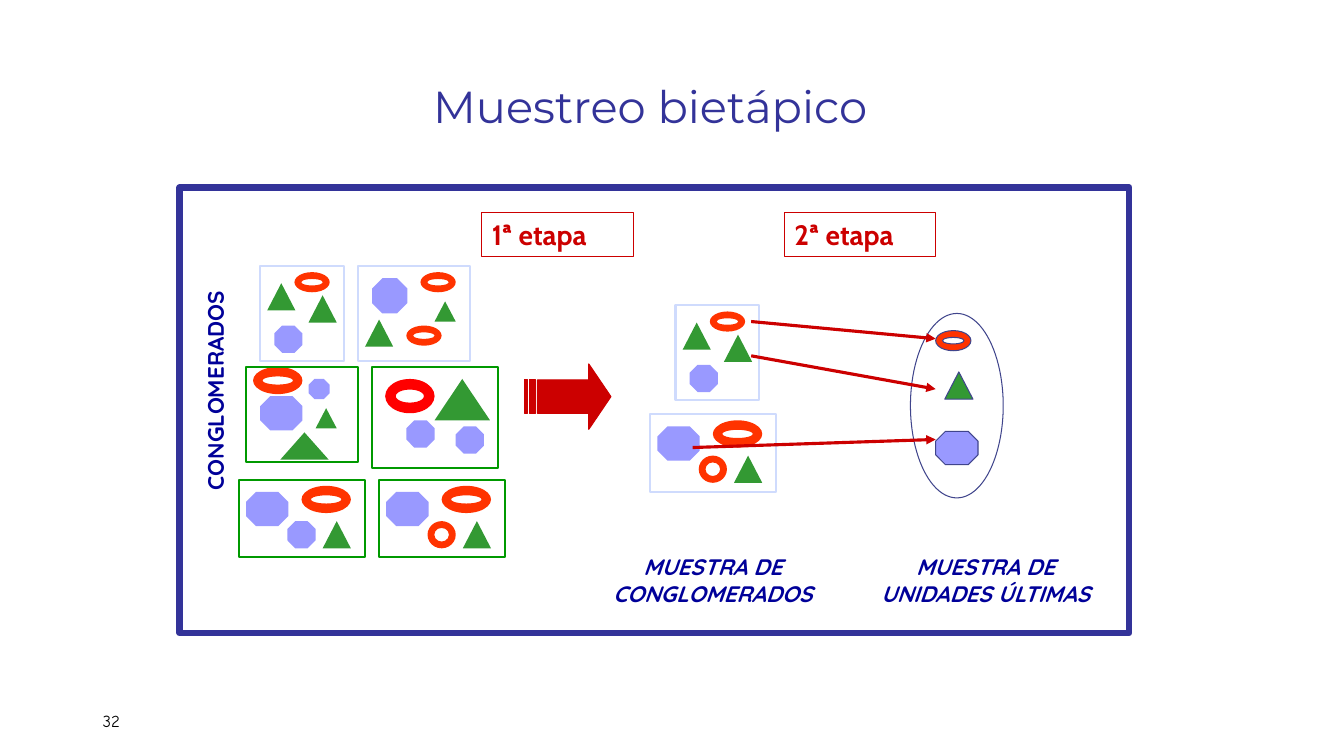
import pptx
import pptx.dml.color
import pptx.enum.shapes
import pptx.enum.text
import pptx.oxml
import pptx.oxml.ns
import pptx.util

SCALE = 9144  # EMU per px, 100 px to the inch
COLORS = {
    "frame": "333399", "label": "000099", "stage": "CC0000", "text": "000000",
    "triangle": "339933", "octagon": "9999FF", "ring": "FF3300", "red_ring": "FF0000",
    "pale_box": "CFDBFD", "green_box": "009900", "unit_line": "40458C",
}
SHAPE = pptx.enum.shapes.MSO_SHAPE
ALIGN = pptx.enum.text.PP_ALIGN
ANCHOR = pptx.enum.text.MSO_ANCHOR
UNIT_PRESETS = {"triangle": SHAPE.ISOSCELES_TRIANGLE, "octagon": SHAPE.OCTAGON,
                "ring": SHAPE.DONUT, "red_ring": SHAPE.DONUT}

# Units inside a cluster: kind, then left, top, width, height relative to its box
SMALL_MIX = [("triangle", 7, 17, 28, 27), ("triangle", 48, 29, 28, 27),
             ("octagon", 14, 59, 28, 27), ("ring", 34, 6, 35, 20)]
TALL_MIX = [("triangle", 7, 53, 28, 27), ("triangle", 76, 35, 21, 20),
            ("octagon", 14, 12, 35, 35), ("ring", 62, 6, 35, 20), ("ring", 48, 59, 35, 20)]
DENSE_MIX = [("triangle", 34, 65, 48, 27), ("triangle", 69, 41, 21, 20),
             ("octagon", 14, 29, 42, 34), ("octagon", 62, 12, 21, 20), ("ring", 7, 0, 49, 27)]
LARGE_MIX = [("triangle", 62, 12, 55, 41), ("octagon", 83, 59, 28, 27),
             ("octagon", 34, 53, 28, 27), ("red_ring", 13, 12, 49, 34)]
WIDE_BASE = [("triangle", 83, 41, 28, 27), ("octagon", 7, 12, 42, 34), ("ring", 62, 6, 49, 27)]
OCTAGON_MIX = WIDE_BASE + [("octagon", 48, 41, 28, 27)]
RING_MIX = WIDE_BASE + [("ring", 48, 41, 28, 27)]

POPULATION = [
    ((258, 264, 83, 94), "pale_box", SMALL_MIX),
    ((355, 264, 111, 94), "pale_box", TALL_MIX),
    ((244, 364, 111, 94), "green_box", DENSE_MIX),
    ((369, 364, 125, 100), "green_box", LARGE_MIX),
    ((237, 476, 125, 77), "green_box", OCTAGON_MIX),
    ((376, 476, 125, 77), "green_box", RING_MIX),
]
SAMPLE = [
    ((670, 303, 83, 94), "pale_box", SMALL_MIX),
    ((645, 411, 125, 77), "pale_box", RING_MIX),
]
SAMPLED_UNITS = [("triangle", 34, 58, 28, 27), ("octagon", 25, 117, 42, 33),
                 ("ring", 25, 17, 35, 20)]


def px(*lengths):
    return [pptx.util.Emu(round(length * SCALE)) for length in lengths]


def color(name):
    return pptx.dml.color.RGBColor.from_string(COLORS[name])


def style(shape, fill=None, line=None, width=0.75):
    shape.shadow.inherit = False
    if fill:
        shape.fill.solid()
        shape.fill.fore_color.rgb = color(fill)
    else:
        shape.fill.background()
    if line:
        shape.line.color.rgb = color(line)
        shape.line.width = pptx.util.Pt(width)
    else:
        shape.line.fill.background()


def add_preset(slide, kind, box, fill=None, line=None, width=0.75):
    shape = slide.shapes.add_shape(kind, *px(*box))
    style(shape, fill, line, width)
    return shape


def add_units(slide, box, units, line=None):
    for kind, left, top, width, height in units:
        place = (box[0] + left, box[1] + top, width, height)
        shape = add_preset(slide, UNIT_PRESETS[kind], place, kind, line)
        if kind.endswith("ring"):
            # Band as thick as the mean of a quarter width and a quarter height
            shape.adjustments[0] = round((width + height) / 8 / min(width, height), 2)


def write(shape, text, font, size, name, align=ALIGN.CENTER, anchor=ANCHOR.TOP,
          bold=False, italic=False):
    frame = shape.text_frame
    frame.text = text
    frame.word_wrap = True
    frame.vertical_anchor = anchor
    paragraph = frame.paragraphs[0]
    paragraph.alignment = align
    run = paragraph.runs[0]
    run.font.name = font
    run.font.size = pptx.util.Pt(size)
    run.font.color.rgb = color(name)
    run.font.bold = bold
    run.font.italic = italic


def add_text(slide, box, *arguments, **options):
    shape = slide.shapes.add_textbox(*px(*box))
    write(shape, *arguments, **options)
    return shape


def add_clusters(slide, clusters):
    for box, line, units in clusters:
        add_units(slide, box, units)
        add_preset(slide, SHAPE.RECTANGLE, box, line=line, width=1.5)


def add_stage(slide, box, text):
    shape = add_preset(slide, SHAPE.RECTANGLE, box, line="stage")
    write(shape, text, "Cabin", 20, "stage", align=ALIGN.LEFT, bold=True)


def add_striped_arrow(slide, box):
    left, top, width, height = box
    right, bottom, neck = left + width, top + height, left + 64
    upper, lower = top + 16, bottom - 16
    head = [(neck, top), (neck, upper), (left + 13, upper), (left + 13, lower),
            (neck, lower), (neck, bottom), (right, top + height / 2)]
    stripes = [[(left + start, upper), (left + start, lower),
                (left + end, lower), (left + end, upper)] for start, end in ((5, 11), (0, 3))]
    builder = slide.shapes.build_freeform(*px(*head[0]))
    builder.add_line_segments([px(*point) for point in head[1:]])
    for stripe in stripes:
        builder.move_to(*px(*stripe[0]))
        builder.add_line_segments([px(*point) for point in stripe[1:]])
    style(builder.convert_to_shape(), "stage", "stage")


def add_selection_arrow(slide, start, end):
    connector = slide.shapes.add_connector(
        pptx.enum.shapes.MSO_CONNECTOR.STRAIGHT, *px(*start, *end))
    connector.line.color.rgb = color("stage")
    connector.line.width = pptx.util.Pt(2.25)
    namespace = pptx.oxml.ns.nsdecls("a")
    line = connector.line.fill._xPr
    line.append(pptx.oxml.parse_xml(f'<a:tailEnd {namespace} type="triangle"/>'))
    line.getparent().append(pptx.oxml.parse_xml(f"<a:effectLst {namespace}/>"))


def add_sampled_units(slide, box):
    add_units(slide, box, SAMPLED_UNITS, "unit_line")
    add_preset(slide, SHAPE.OVAL, box, line="unit_line")


def build_slide(presentation):
    slide = presentation.slides.add_slide(presentation.slide_layouts[6])

    # Title, frame and slide number
    add_text(slide, (220, 103, 850, 33), "Muestreo bietápico", "Montserrat", 32, "frame",
             anchor=ANCHOR.BOTTOM)
    add_preset(slide, SHAPE.RECTANGLE, (178, 186, 942, 442), line="frame", width=4.5)
    add_text(slide, (92, 695, 300, 40), "32", "Comic Neue", 12, "text",
             align=ALIGN.LEFT, anchor=ANCHOR.MIDDLE)

    # Clusters and the sample drawn from them
    add_clusters(slide, POPULATION + SAMPLE)
    label = add_text(slide, (75, 369, 277, 37), "CONGLOMERADOS", "Quicksand", 16, "label",
                     bold=True)
    label.rotation = 270
    for box, text in (((587, 544, 240, 64), "MUESTRA DE CONGLOMERADOS"),
                      ((853, 544, 249, 64), "MUESTRA DE UNIDADES ÚLTIMAS")):
        add_text(slide, box, text, "Quicksand", 16, "label", bold=True, italic=True)

    # First stage
    add_stage(slide, (478, 211, 150, 44), "1ª etapa")
    add_striped_arrow(slide, (520, 361, 86, 65))

    # Second stage
    add_sampled_units(slide, (903, 311, 92, 183))
    add_stage(slide, (778, 211, 150, 44), "2ª etapa")
    for start, end in (((745, 319), (928, 336)), ((745, 353), (928, 386)),
                       ((687, 444), (928, 436))):
        add_selection_arrow(slide, start, end)


def main():
    presentation = pptx.Presentation()
    presentation.slide_width, presentation.slide_height = px(1333, 750)
    build_slide(presentation)
    presentation.save("out.pptx")


if __name__ == "__main__":
    main()
